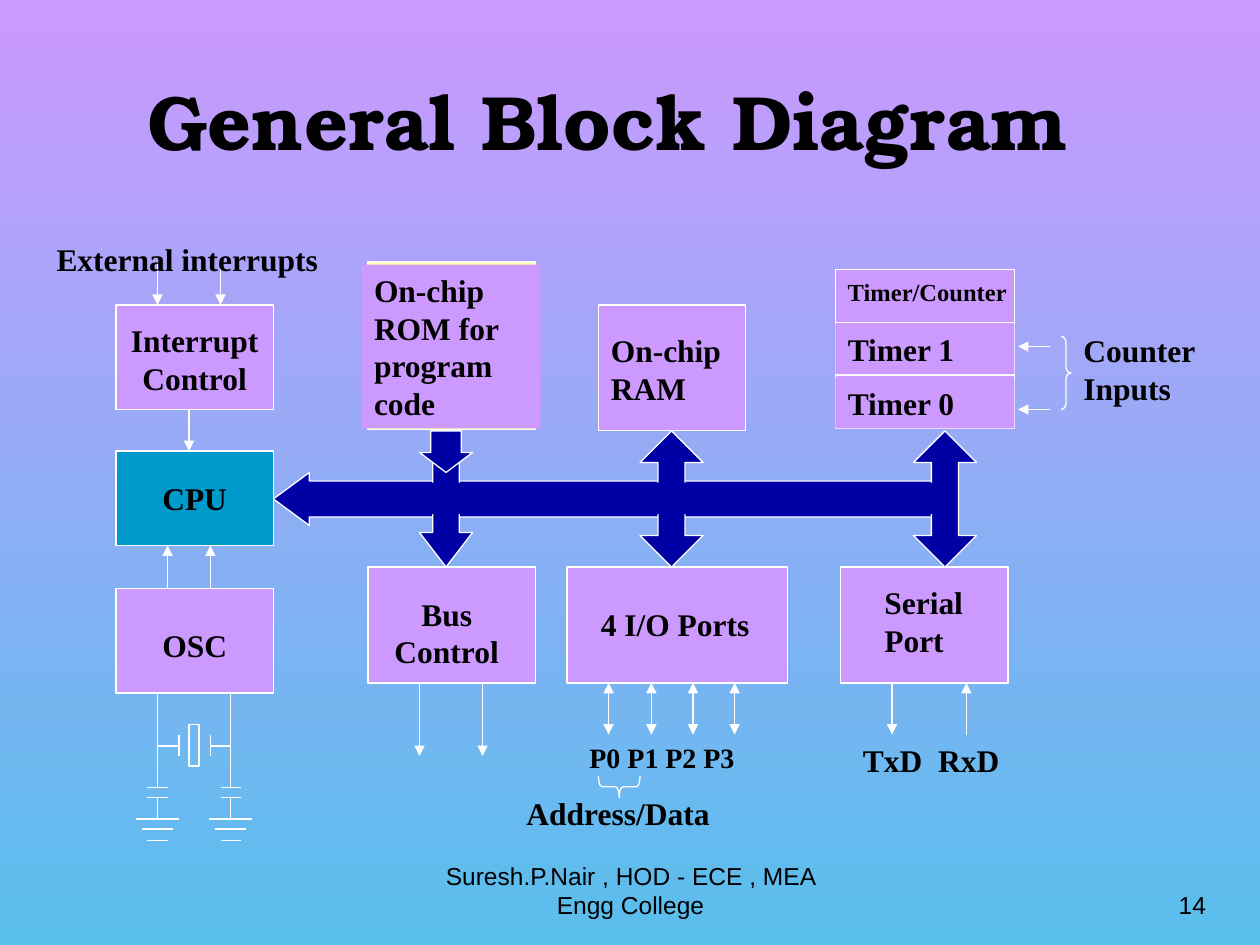
from pptx import Presentation
from pptx.dml.color import RGBColor
from pptx.enum.shapes import MSO_CONNECTOR, MSO_SHAPE as SHAPE
from pptx.enum.text import MSO_ANCHOR as ANCHOR, PP_ALIGN as ALIGN
from pptx.oxml.ns import qn
from pptx.util import Inches, Pt
from lxml.etree import SubElement

LILAC = RGBColor(0xCC, 0x99, 0xFF)
SKY = RGBColor(0x59, 0xBF, 0xED)
TEAL = RGBColor(0x00, 0x99, 0xCC)
YELLOW = RGBColor(0xFF, 0xFF, 0x99)
NAVY = RGBColor(0x00, 0x00, 0xA4)
WHITE = RGBColor(0xFF, 0xFF, 0xFF)
BLACK = RGBColor(0x00, 0x00, 0x00)


class Diagram:
    font = "Times New Roman"
    line_width = Pt(0.75)

    def __init__(self, slide):
        self.s = slide

    def background(self, top, bottom):
        fill = self.s.background.fill
        fill.gradient()
        fill.gradient_angle = 270
        for stop, color in zip(fill.gradient_stops, (top, bottom)):
            stop.color.rgb = color

    def shape(self, x, y, w, h, fill=LILAC, kind=SHAPE.RECTANGLE, adj=(),
              outline=True, rotation=0):
        sp = self.s.shapes.add_shape(kind, Inches(x), Inches(y), Inches(w), Inches(h))
        sp.shadow.inherit = False
        sp.rotation = rotation
        for i, value in enumerate(adj):
            sp.adjustments[i] = value
        if fill is None:
            sp.fill.background()
        else:
            sp.fill.solid()
            sp.fill.fore_color.rgb = fill
        if outline:
            sp.line.color.rgb = WHITE
            sp.line.width = self.line_width
        else:
            sp.line.fill.background()
        return sp

    def text(self, text, x, y, w, h, size=18, align=ALIGN.LEFT, font=font,
             bold=True, anchor=ANCHOR.TOP, fill=None):
        sp = self.s.shapes.add_textbox(Inches(x), Inches(y), Inches(w), Inches(h))
        if fill is not None:
            sp.fill.solid()
            sp.fill.fore_color.rgb = fill
        tf = sp.text_frame
        tf.word_wrap = True
        tf.vertical_anchor = anchor
        tf.text = text
        p = tf.paragraphs[0]
        p.alignment = align
        for r in p.runs:
            r.font.name = font
            r.font.size = Pt(size)
            r.font.bold = bold
            r.font.color.rgb = BLACK

    def line(self, x1, y1, x2, y2, ends=()):
        c = self.s.shapes.add_connector(
            MSO_CONNECTOR.STRAIGHT, Inches(x1), Inches(y1), Inches(x2), Inches(y2))
        c.line.color.rgb = WHITE
        c.line.width = self.line_width
        ln = c.line._get_or_add_ln()
        for end in ends:
            SubElement(ln, qn(f"a:{end}"), type="triangle")
        SubElement(c._element.spPr, qn("a:effectLst"))

    def arrow(self, x1, y1, x2, y2):
        self.line(x1, y1, x2, y2, ["tailEnd"])

    def double_arrow(self, x1, y1, x2, y2):
        self.line(x1, y1, x2, y2, ["headEnd", "tailEnd"])

    def bar(self, center, y, width):
        self.line(center - width / 2, y, center + width / 2, y)


def main():
    prs = Presentation()
    prs.slide_width, prs.slide_height = Inches(10), Inches(7.5)
    d = Diagram(prs.slides.add_slide(prs.slide_layouts[6]))
    d.background(LILAC, SKY)
    d.text("General Block Diagram", 0.91, 0.41, 7.83, 1.08, size=44,
           align=ALIGN.CENTER, font="TeX Gyre Bonum", anchor=ANCHOR.MIDDLE)

    # Left column: interrupts, processor, oscillator
    for label, top, height, label_top, label_height, color in (
            ("Interrupt Control", 2.42, 0.83, 2.5, 0.7, LILAC),
            ("CPU", 3.58, 0.75, 3.75, 0.4, TEAL),
            ("OSC", 4.67, 0.83, 4.92, 0.4, LILAC)):
        d.shape(0.92, top, 1.25, height, color)
        d.text(label, 0.92, label_top, 1.25, label_height, align=ALIGN.CENTER)
    for x in (1.33, 1.67):
        d.arrow(x, 4.67, x, 4.33)
    d.arrow(1.5, 3.25, 1.5, 3.58)
    for x in (1.25, 1.75):
        d.arrow(x, 2.08, x, 2.42)
    d.text("External interrupts", 0.35, 1.86, 2.58, 0.4)

    # Crystal with two capacitors to ground
    d.shape(1.5, 5.75, 0.08, 0.33, fill=None)
    for lead, plate in ((1.25, 1.42), (1.83, 1.67)):
        d.line(lead, 5.5, lead, 6.25)
        d.line(plate, 5.83, plate, 6)
        d.line(lead, 5.92, plate, 5.92)
        d.line(lead, 6.33, lead, 6.5)
        for y, width in ((6.25, 0.16), (6.33, 0.16), (6.5, 0.34),
                         (6.58, 0.25), (6.67, 0.16)):
            d.bar(lead, y, width)

    # Memory
    d.shape(2.92, 2.08, 1.33, 1.33, YELLOW)
    d.text("On-chip ROM for program code", 2.87, 2.1, 1.42, 1.3, fill=LILAC)
    d.shape(4.75, 2.42, 1.17, 1)
    d.text("On-chip RAM", 4.75, 2.58, 1.17, 0.7)

    # Timers and counter inputs
    for label, top in (("Timer 0", 2.98), ("Timer 1", 2.55)):
        d.shape(6.63, top, 1.42, 0.42)
        d.text(label, 6.63, top + 0.02, 1.42, 0.4, fill=LILAC)
    d.shape(6.63, 2.14, 1.42, 0.42)
    d.text("Timer/Counter", 6.63, 2.15, 1.76, 0.34, size=14)
    for y in (2.75, 3.25):
        d.arrow(8.33, y, 8.08, y)
    d.shape(8.42, 2.67, 0.08, 0.58, None, SHAPE.RIGHT_BRACE, (0.58, 0.5))
    d.text("Counter Inputs", 8.5, 2.58, 1.25, 0.7)

    # Bottom row: bus control, ports, serial
    for x, width in ((2.92, 1.33), (4.5, 1.75), (6.67, 1.33)):
        d.shape(x, 4.5, width, 0.92)
    d.text("Bus Control", 2.92, 4.67, 1.25, 0.7, align=ALIGN.CENTER)
    d.text("4 I/O Ports", 4.67, 4.75, 1.5, 0.4)
    d.text("Serial Port", 6.92, 4.58, 0.92, 0.7)
    for x in (3.33, 3.83):
        d.arrow(x, 5.42, x, 6)
    for x in (4.83, 5.17, 5.5, 5.83):
        d.double_arrow(x, 5.42, x, 5.83)
    d.arrow(7.08, 5.42, 7.08, 5.83)
    d.arrow(7.67, 5.83, 7.67, 5.42)
    d.text("TxD  RxD", 6.75, 5.83, 1.42, 0.4)
    d.text("P0 P1 P2 P3", 4.58, 5.83, 1.52, 0.37, size=16)
    d.shape(4.83, 6.08, 0.17, 0.33, None, SHAPE.LEFT_BRACE, (0.17, 0.5), rotation=270)
    d.text("Address/Data", 4.08, 6.25, 2, 0.4)

    # System bus
    d.shape(2.17, 3.75, 5.33, 0.42, NAVY, SHAPE.LEFT_ARROW, (0.68, 0.68))
    for x in (5.08, 7.25):
        d.shape(x, 3.42, 0.5, 1.08, NAVY, SHAPE.UP_DOWN_ARROW, (0.5, 0.43))
    d.shape(3.33, 3.42, 0.42, 1.08, NAVY, SHAPE.DOWN_ARROW, (0.5, 0.65))
    d.shape(2.75, 3.83, 4.83, 0.25, NAVY, outline=False)
    d.shape(3.33, 3.42, 0.42, 0.33, NAVY, SHAPE.DOWN_ARROW, (0.58, 0.48))

    # Footer and slide number
    for label, x, width, align in (
            ("Suresh.P.Nair , HOD - ECE , MEA Engg College", 3.42, 3.17, ALIGN.CENTER),
            ("14", 7.17, 2.5, ALIGN.RIGHT)):
        d.text(label, x, 6.83, width, 0.52, size=14, align=align, font="Arial",
               bold=False, anchor=ANCHOR.BOTTOM)

    prs.save("out.pptx")


if __name__ == "__main__":
    main()
